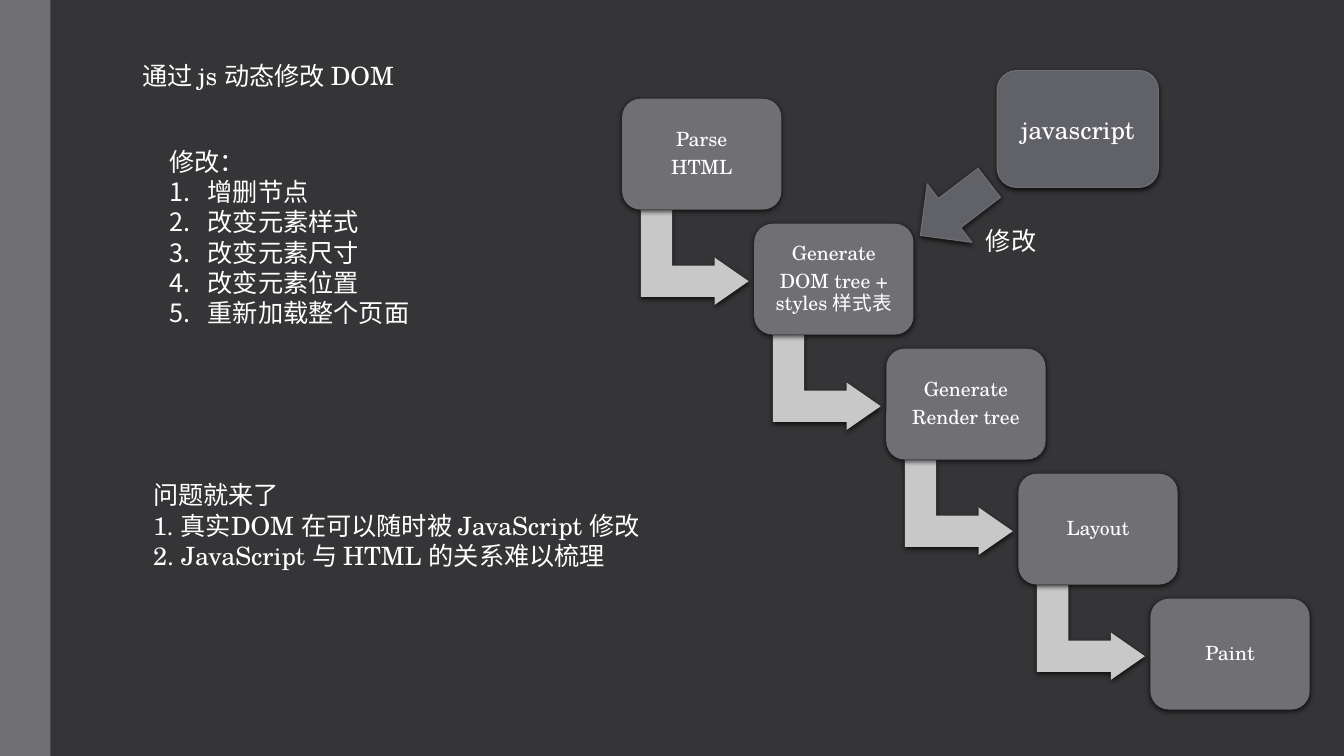
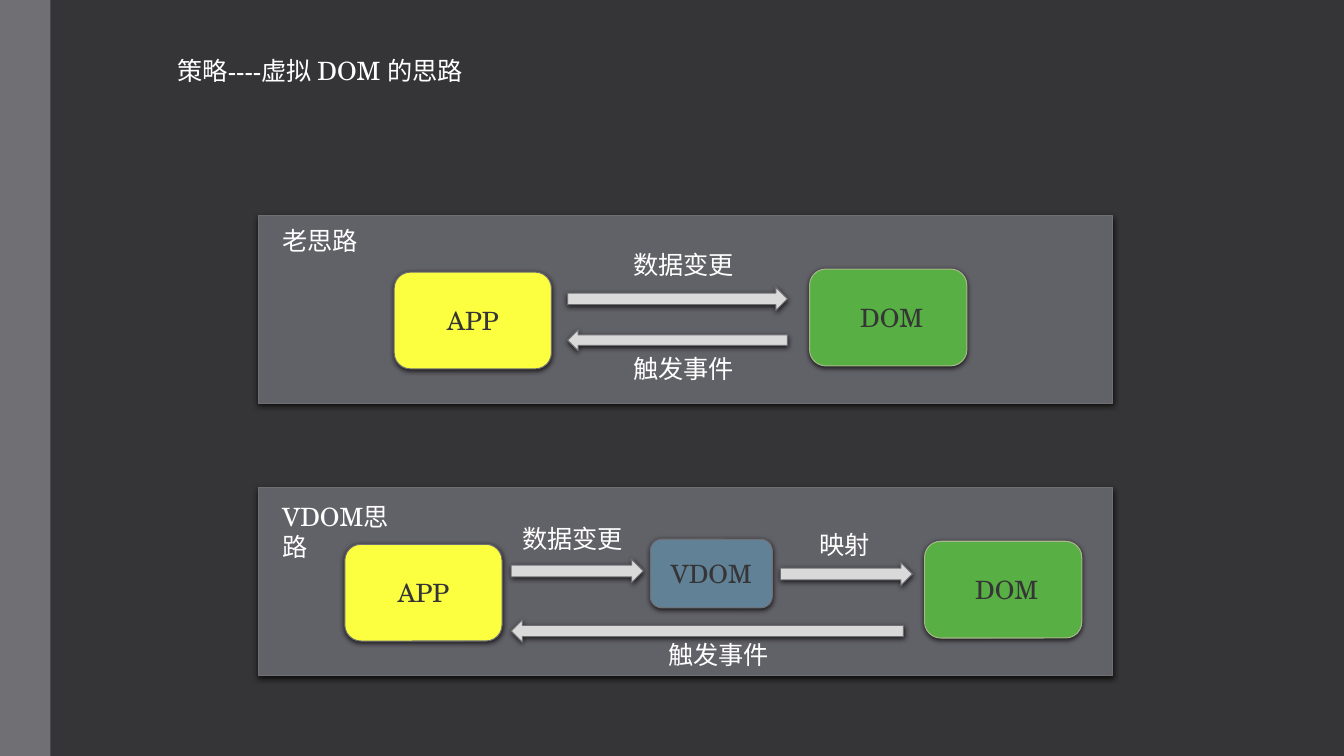
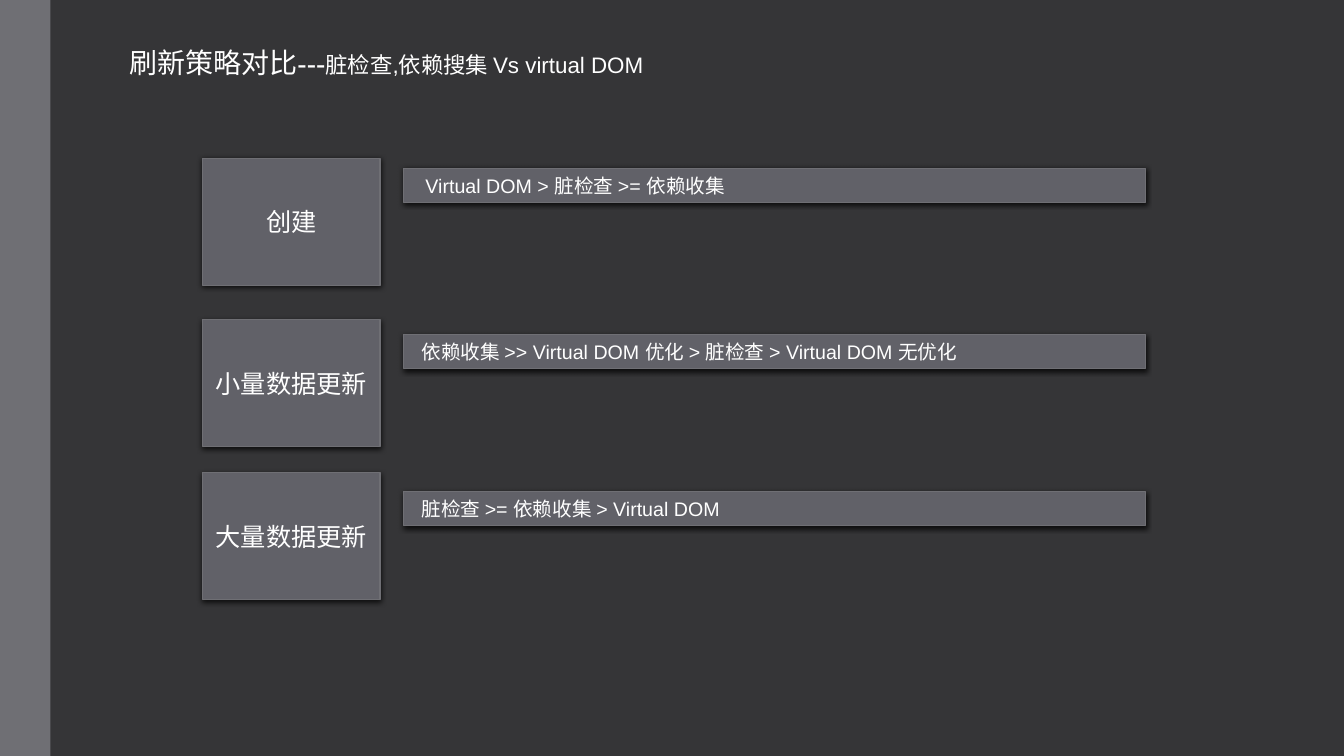
import pptx
import pptx.util
import pptx.dml.color
import pptx.enum.shapes
import pptx.enum.text
import pptx.oxml
import pptx.oxml.ns

Kind = pptx.enum.shapes.MSO_SHAPE
Align = pptx.enum.text.PP_ALIGN
Mid = pptx.enum.text.MSO_ANCHOR.MIDDLE
Top = pptx.enum.text.MSO_ANCHOR.TOP
Fixed = pptx.enum.text.MSO_AUTO_SIZE.NONE
Pt = pptx.util.Pt


class Theme:
    """Colours, fonts and type sizes; one grid cell is half an inch."""
    cell = 0.5
    back, band, panel = "353537", "6F6F74", "616168"
    bend, arrow, white = "C8C8C9", "D9D9D9", "FFFFFF"
    app, dom, rim, vdom = "FCFF3F", "58AF43", "A7B789", "618197"
    serif, sans = "TeX Gyre Schola", "Arial"
    small, mid, body, large = 14, 16, 18, 20


def put(item, values):
    for name, value in values.items():
        setattr(item, name, value)


def tint(code):
    return pptx.dml.color.RGBColor.from_string(code)


def grid(*cells):
    return [pptx.util.Inches(c * Theme.cell) for c in cells]


class Deck:
    def __init__(self):
        self.show = pptx.Presentation()
        put(self.show, {"slide_width": pptx.util.Inches(13.33),
                        "slide_height": pptx.util.Inches(7.5)})
        self.master = self.show.slide_master
        back = self.master.background.fill
        back.solid()
        back.fore_color.rgb = tint(Theme.back)
        self.slide = None

    def page(self, layout):
        first = self.slide is None
        self.slide = self.show.slides.add_slide(self.show.slide_layouts[layout])
        if first:  # the side band lives on the master
            band = self.shape(Kind.RECTANGLE, (0, 0, 1, 15), Theme.band, None, shade=False)
            self.master.shapes.element.insert(2, band.element)

    def letter(self, frame, lines, size=Theme.body, font=Theme.serif,
               ink=Theme.white, para=None, **looks):
        """Each line is a string or a list of (text, size, font) runs."""
        put(frame, {"word_wrap": True, "auto_size": Fixed, **looks})
        for i, line in enumerate(lines):
            row = frame.add_paragraph() if i else frame.paragraphs[0]
            put(row, para or {"alignment": Align.LEFT})
            for text, pts, face in [(line, size, font)] if isinstance(line, str) else line:
                run = row.add_run()
                run.text = text
                put(run.font, {"size": Pt(pts), "name": face})
                run.font.color.rgb = tint(ink)

    def place(self, holder, at):
        put(holder, dict(zip(("left", "top", "width", "height"), grid(*at))))
        return holder.text_frame

    def title(self, at, line):
        self.letter(self.place(self.slide.shapes.title, at), [line], vertical_anchor=Top)

    def points(self, at, head, items):
        frame = self.place(self.slide.placeholders[1], at)
        self.letter(frame, [head] + items, vertical_anchor=Top,
                    para={"alignment": Align.LEFT, "space_before": Pt(0)})
        for i, row in enumerate(frame.paragraphs):
            props = row._p.get_or_add_pPr()
            dent = pptx.util.Inches(0.38) if i else 0
            props.set("marL", str(dent))
            props.set("indent", str(-dent))
            mark = 'buAutoNum type="arabicPeriod"' if i else "buNone"
            props.append(self.node(mark))

    def note(self, at, *lines):
        self.letter(self.slide.shapes.add_textbox(*grid(*at)).text_frame, lines)

    def node(self, tag, inner=""):
        name = tag.split()[0]
        return pptx.oxml.parse_xml(
            f'<a:{tag} {pptx.oxml.ns.nsdecls("a")}>{inner}</a:{name}>')

    def shape(self, kind, at, fill, line=Theme.band, turn=0, bends=(), shade=True):
        item = self.slide.shapes.add_shape(kind, *grid(*at))
        item.rotation = turn
        item.shadow.inherit = False
        item.fill.solid()
        item.fill.fore_color.rgb = tint(fill)
        if line:
            item.line.color.rgb = tint(line)
            item.line.width = Pt(0.75)
        else:
            item.line.fill.background()
        for i, bend in enumerate(bends):
            item.adjustments[i] = bend
        if shade:  # soft drop shadow
            item.element.spPr.find(pptx.oxml.ns.qn("a:effectLst")).append(self.node(
                f'outerShdw blurRad="{Pt(4)}" dist="{Pt(1.2)}" dir="5400000" rotWithShape="0"',
                '<a:srgbClr val="000000"><a:alpha val="75000"/></a:srgbClr>'))
        return item

    def box(self, kind, at, lines, fill=Theme.panel, line=Theme.band, **text):
        item = self.shape(kind, at, fill, line)
        text.setdefault("para", {"alignment": Align.CENTER})
        self.letter(item.text_frame, lines, vertical_anchor=Mid, **text)

    # One way of working: a panel with its name, app and DOM
    def panel(self, top, name, drop, width, app, dom):
        self.shape(Kind.RECTANGLE, (5.12, top, 16.94, 3.72), Theme.panel)
        self.note((5.4, top + drop, width, 0.8), name)
        for left, down, text, fill, line in (
                (app, 1.12, "APP", Theme.app, Theme.band),
                (dom, 1.06, " DOM", Theme.dom, Theme.rim)):
            self.box(Kind.ROUNDED_RECTANGLE, (left, top + down, 3.12, 1.92),
                     [text], fill, line, ink=Theme.back)


def change(deck):
    deck.page(1)
    deck.title((2.62, 1.1, 9.32, 0.8), "通过 js 动态修改 DOM")
    deck.points((3.16, 2.8, 7.12, 3.84), "修改：",
                ["增删节点", "改变元素样式", "改变元素尺寸", "改变元素位置", "重新加载整个页面"])
    # Staircase of steps
    steps = (["Parse", "HTML"], ["Generate", "DOM tree + styles 样式表"],
             ["Generate", "Render tree"], ["Layout"], ["Paint"])
    inset = pptx.util.Inches(0.06)
    sides = {f"margin_{s}": inset for s in ("left", "right", "top", "bottom")}
    para = {"alignment": Align.CENTER, "line_spacing": 0.9, "space_after": Pt(4.9)}
    for i, step in enumerate(steps):
        x, y = 12.34 + 2.62 * i, 1.96 + 2.48 * i
        if i < len(steps) - 1:
            deck.shape(Kind.BENT_UP_ARROW, (x + 0.5, y + 2.08, 1.88, 2.14),
                       Theme.bend, None, 90, (0.33, 0.25, 0.36))
        deck.box(Kind.ROUNDED_RECTANGLE, (x, y, 3.16, 2.2), step, Theme.band, None,
                 size=Theme.small, para=para, **sides)
    # Script that changes the tree
    deck.box(Kind.ROUNDED_RECTANGLE, (19.78, 1.4, 3.2, 2.32), ["javascript"])
    deck.shape(Kind.LEFT_ARROW, (18.08, 3.42, 1.72, 1.46), Theme.panel, turn=322.6)
    deck.note((19.36, 4.38, 1.42, 0.8), "修改")
    deck.note((2.84, 9.42, 10.24, 2.02), "问题就来了",
              "1. 真实DOM 在可以随时被 JavaScript 修改",
              "2. JavaScript 与 HTML 的关系难以梳理")


def virtual(deck):
    deck.page(5)
    deck.title((3.32, 1, 9.98, 0.8), "策略----虚拟 DOM 的思路")
    deck.panel(4.28, "老思路", 0.1, 1.92, 7.82, 16.06)
    deck.panel(9.68, "VDOM思路", 0.16, 2.92, 6.84, 18.34)
    deck.box(Kind.ROUNDED_RECTANGLE, (12.9, 10.7, 2.42, 1.36), ["VDOM"],
             Theme.vdom, ink=Theme.back)
    # Flow arrows and their labels
    for kind, at in ((Kind.RIGHT_ARROW, (11.26, 5.7, 4.36, 0.46)),
                     (Kind.LEFT_ARROW, (11.26, 6.54, 4.36, 0.42)),
                     (Kind.RIGHT_ARROW, (10.14, 11.1, 2.62, 0.46)),
                     (Kind.RIGHT_ARROW, (15.48, 11.16, 2.62, 0.46)),
                     (Kind.LEFT_ARROW, (10.14, 12.3, 7.78, 0.44))):
        deck.shape(kind, at, Theme.arrow)
    for text, x, y, wide in (("数据变更", 12.36, 4.84, 2.42), ("触发事件", 12.36, 6.92, 2.42),
                             ("数据变更", 10.16, 10.28, 2.42), ("映射", 16.06, 10.4, 1.42),
                             ("触发事件", 13.06, 12.58, 2.42)):
        deck.note((x, y, wide, 0.8), text)


def compare(deck):
    deck.page(5)
    deck.title((2.36, 0.8, 16.2, 0.88),
               [("刷新策略对比---", Theme.large, Theme.serif),
                ("脏检查,依赖搜集 Vs virtual DOM", Theme.mid, Theme.sans)])
    # Each case with its ranking
    for top, case, bar, rank, inset in (
            (3.14, "创建", 3.34, "Virtual DOM > 脏检查 >= 依赖收集", 0.22),
            (6.34, "小量数据更新", 6.64,
             "依赖收集 >> Virtual DOM 优化 > 脏检查 > Virtual DOM 无优化", 0.18),
            (9.38, "大量数据更新", 9.76, "脏检查 >= 依赖收集 > Virtual DOM", 0.18)):
        deck.box(Kind.RECTANGLE, (4.02, top, 3.52, 2.52), [case])
        deck.box(Kind.RECTANGLE, (8, bar, 14.72, 0.67), [rank], size=Theme.small,
                 font=Theme.sans, para={"alignment": Align.LEFT},
                 margin_left=pptx.util.Inches(inset))


def main():
    deck = Deck()
    for build in (change, virtual, compare):
        build(deck)
    deck.show.save("out.pptx")


if __name__ == "__main__":
    main()
